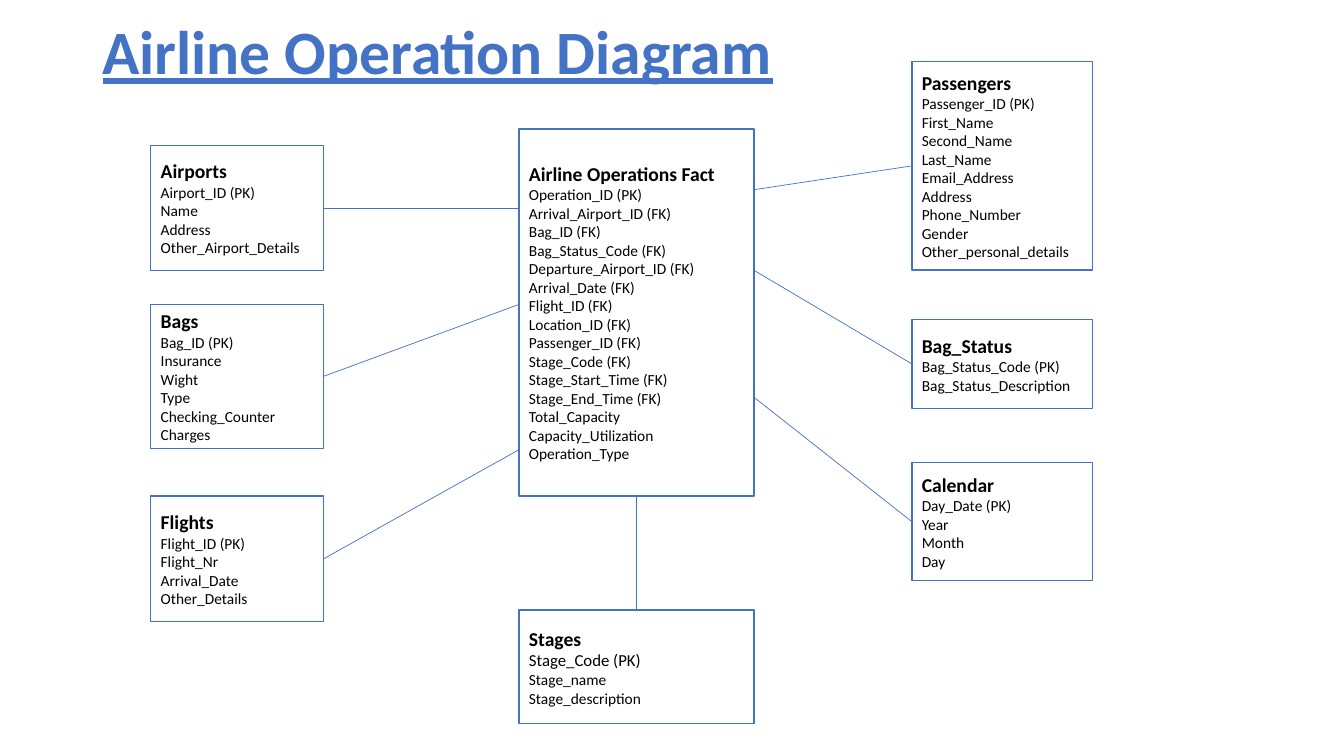
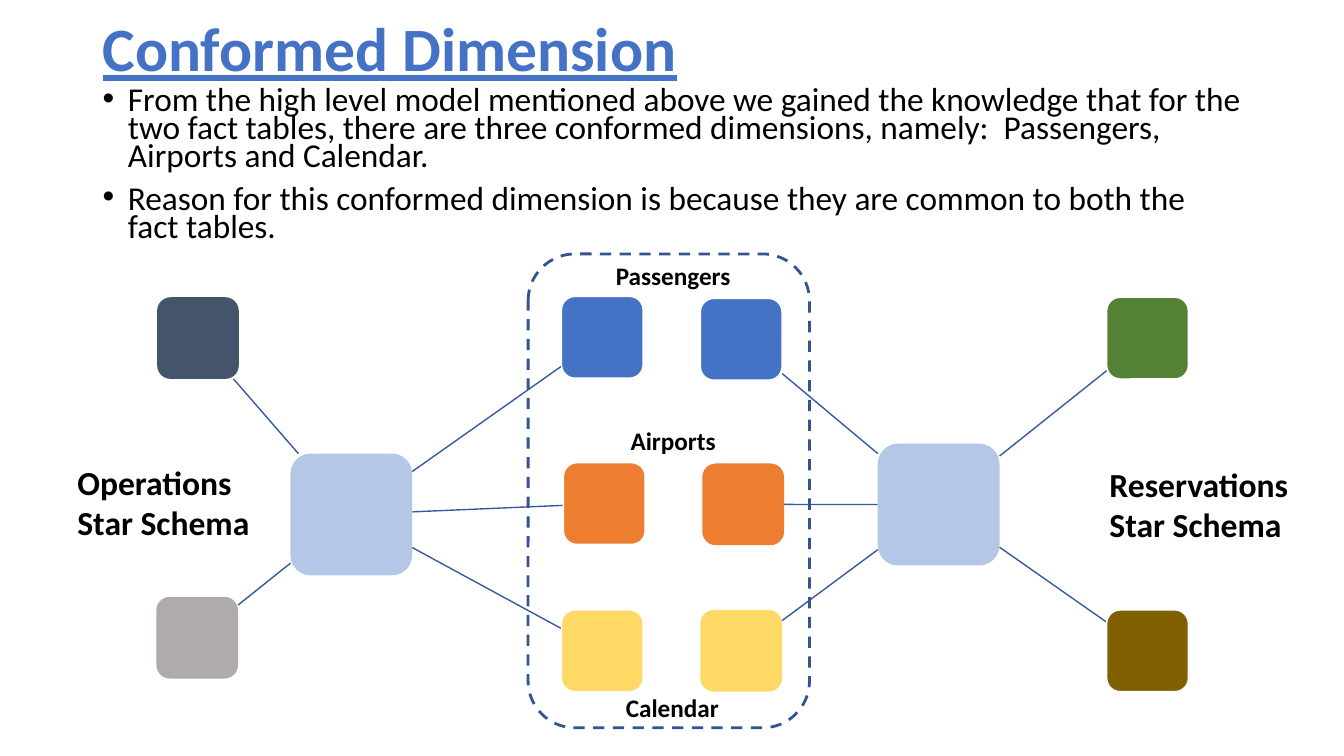
"""Build two slides: an airline star schema and its conformed dimensions."""
import pptx
import pptx.dml.color
import pptx.enum.dml
import pptx.enum.shapes
import pptx.enum.text
import pptx.oxml.ns
import pptx.util
from lxml import etree

Cm, Pt = pptx.util.Cm, pptx.util.Pt
SHAPE = pptx.enum.shapes.MSO_SHAPE
ALIGN = pptx.enum.text.PP_ALIGN
ANCHOR = pptx.enum.text.MSO_ANCHOR
FONT = "Calibri"
COLORS = {
    "blue": "4472C4", "white": "FFFFFF", "black": "000000", "hub": "B4C7E7",
    "link": "365B9D", "frame": "325491", "orange": "ED7D31",
    "yellow": "FFD966", "grey": "AFABAB", "navy": "44546A",
    "green": "548235", "olive": "806000",
}

COLUMNS = {"left": (3.8, 4.35), "centre": (13.08, 5.92), "right": (22.98, 4.55)}
FACT = ("Airline Operations Fact", "centre", 3.25, 9.25, [
    "Operation_ID (PK)", "Arrival_Airport_ID (FK)", "Bag_ID (FK)",
    "Bag_Status_Code (FK)", "Departure_Airport_ID (FK)", "Arrival_Date (FK)",
    "Flight_ID (FK)", "Location_ID (FK)", "Passenger_ID (FK)",
    "Stage_Code (FK)", "Stage_Start_Time (FK)", "Stage_End_Time (FK)",
    "Total_Capacity", "Capacity_Utilization", "Operation_Type"])
STAGES = ("Stages", "centre", 15.37, 2.87,
          ["Stage_Code (PK)", "Stage_name", "Stage_description"])
DIMENSIONS = [
    (("Airports", "left", 3.66, 3.16,
      ["Airport_ID (PK)", "Name", "Address", "Other_Airport_Details"]), 5.24),
    (("Bags", "left", 7.67, 3.63,
      ["Bag_ID (PK)", "Insurance", "Wight", "Type", "Checking_Counter",
       "Charges"]), 7.67),
    (("Flights", "left", 12.5, 3.17,
      ["Flight_ID (PK)", "Flight_Nr", "Arrival_Date", "Other_Details"]), 11.33),
    (("Passengers", "right", 1.55, 5.26,
      ["Passenger_ID (PK)", "First_Name", "Second_Name", "Last_Name",
       "Email_Address", "Address", "Phone_Number", "Gender",
       "Other_personal_details"]), 4.78),
    (("Bag_Status", "right", 8.05, 2.24,
      ["Bag_Status_Code (PK)", "Bag_Status_Description"]), 6.81),
    (("Calendar", "right", 11.66, 2.97,
      ["Day_Date (PK)", "Year", "Month", "Day"]), 10.01),
]

BULLETS = [
    "From the high level model mentioned above we gained the knowledge that "
    "for the two fact tables, there are three conformed dimensions, namely:  "
    "Passengers, Airports and Calendar.",
    "Reason for this conformed dimension is because they are common to both "
    "the fact tables.",
]
HUB_SIDE, NODE_SIDE = 3.07, 2.06
STARS = [
    ((7.32, 11.43), [
        (14.15, 7.47, "blue", True), (14.2, 11.66, "orange", True),
        (14.15, 15.37, "yellow", True), (3.94, 15.04, "grey", False),
        (3.96, 7.49, "navy", False)]),
    ((22.12, 11.18), [
        (17.65, 7.52, "blue", True), (27.89, 7.49, "green", True),
        (27.89, 15.37, "olive", True), (17.65, 15.37, "yellow", False),
        (17.7, 11.68, "orange", False)]),
]
LABELS = [
    ("Passengers", 12.85, 6.43, 8.23, 1.02, 18, ALIGN.CENTER),
    ("Airports", 12.85, 10.59, 8.23, 1.02, 18, ALIGN.CENTER),
    ("Calendar", 12.83, 17.32, 8.23, 1.02, 18, ALIGN.CENTER),
    ("Operations Star Schema", 1.7, 11.51, 5.92, 2.31, 24, ALIGN.LEFT),
    ("Reservations Star Schema", 27.71, 11.56, 5.49, 2.31, 24, ALIGN.LEFT),
]
FRAME = (13.31, 6.4, 7.09, 11.94)


def rgb(name):
    return pptx.dml.color.RGBColor.from_string(COLORS[name])


def style(p, size, bold=False, color="black", align=ALIGN.LEFT):
    p.alignment = align
    p.font.name, p.font.size, p.font.bold = FONT, Pt(size), bold
    p.font.color.rgb = rgb(color)


def place(sp, x, y, w, h):
    sp.left, sp.top, sp.width, sp.height = Cm(x), Cm(y), Cm(w), Cm(h)


def add_slide(prs, layout, title, y, h):
    slide = prs.slides.add_slide(prs.slide_layouts[layout])
    sp = slide.shapes.title
    place(sp, 2.33, y, 29.21, h)
    tf = sp.text_frame
    tf.text = title
    tf.auto_size = pptx.enum.text.MSO_AUTO_SIZE.NONE
    tf.vertical_anchor = ANCHOR.MIDDLE
    p = tf.paragraphs[0]
    style(p, 44, True, "blue")
    p.font.underline = True
    p.line_spacing = 0.9
    return slide


def add_shape(slide, kind, x, y, w, h, fill=None, line=None, width=1):
    sp = slide.shapes.add_shape(kind, Cm(x), Cm(y), Cm(w), Cm(h))
    sp.shadow.inherit = False
    if fill:
        sp.fill.solid()
        sp.fill.fore_color.rgb = rgb(fill)
    else:
        sp.fill.background()
    if line:
        sp.line.color.rgb = rgb(line)
        sp.line.width = Pt(width)
    else:
        sp.line.fill.background()
    return sp


def add_line(slide, start, end, color, width):
    ends = [Cm(v) for v in (*start, *end)]
    cn = slide.shapes.add_connector(
        pptx.enum.shapes.MSO_CONNECTOR.STRAIGHT, *ends)
    cn.line.color.rgb = rgb(color)
    cn.line.width = Pt(width)
    etree.SubElement(cn._element.spPr, pptx.oxml.ns.qn("a:effectLst"))
    return cn


def add_entity(slide, entity, key_size=11):
    name, column, y, h, fields = entity
    x, w = COLUMNS[column]
    sp = add_shape(slide, SHAPE.RECTANGLE, x, y, w, h, "white", "blue")
    tf = sp.text_frame
    tf.vertical_anchor = ANCHOR.MIDDLE
    tf.text = "\n".join([name, *fields])
    sizes = [14, key_size] + [11] * (len(fields) - 1)
    for i, (p, size) in enumerate(zip(tf.paragraphs, sizes)):
        style(p, size, bold=i == 0)
    return sp


def edge_point(centre, side, target):
    """Return where the ray from a square's centre to target leaves it."""
    dx, dy = target[0] - centre[0], target[1] - centre[1]
    scale = side / 2 / max(abs(dx), abs(dy))
    return centre[0] + dx * scale, centre[1] + dy * scale


def add_star(slide, hub, nodes):
    add_shape(slide, SHAPE.ROUNDED_RECTANGLE, *hub, HUB_SIDE, HUB_SIDE, "hub")
    hub_mid = tuple(v + HUB_SIDE / 2 for v in hub)
    for x, y, color, outlined in nodes:
        mid = (x + NODE_SIDE / 2, y + NODE_SIDE / 2)
        add_line(slide, edge_point(hub_mid, HUB_SIDE, mid),
                 edge_point(mid, NODE_SIDE, hub_mid), "link", 1)
        add_shape(slide, SHAPE.ROUNDED_RECTANGLE, x, y, NODE_SIDE, NODE_SIDE,
                  color, "white" if outlined else None)


def add_label(slide, text, x, y, w, h, size, align):
    tf = slide.shapes.add_textbox(Cm(x), Cm(y), Cm(w), Cm(h)).text_frame
    tf.word_wrap = True
    tf.text = text
    style(tf.paragraphs[0], size, True, align=align)


def build_diagram(prs):
    slide = add_slide(prs, 5, "Airline Operation Diagram", 0, 2.77)
    fact = add_entity(slide, FACT)
    fact_x, fact_w = COLUMNS["centre"]
    for entity, fact_y in DIMENSIONS:
        sp = add_entity(slide, entity)
        on_left = entity[1] == "left"
        end = (fact_x if on_left else fact_x + fact_w, fact_y)
        cn = add_line(slide, end, end, "blue", 0.5)
        cn.begin_connect(sp, 3 if on_left else 1)
    stages = add_entity(slide, STAGES, key_size=12)
    cn = add_line(slide, (0, 0), (0, 0), "blue", 0.5)
    cn.begin_connect(fact, 2)
    cn.end_connect(stages, 0)


def build_conformed(prs):
    slide = add_slide(prs, 1, "Conformed Dimension", 0.02, 2.56)
    body = slide.placeholders[1]
    place(body, 2.33, 2.13, 29.21, 4.27)
    tf = body.text_frame
    tf.text = "\n".join(BULLETS)
    tf.auto_size = pptx.enum.text.MSO_AUTO_SIZE.NONE
    for p in tf.paragraphs:
        style(p, 23.8)
        p.line_spacing = 0.7
        p.space_before = Pt(10)
        pPr = p._p.get_or_add_pPr()
        pPr.set("marL", str(Cm(0.64)))
        pPr.set("indent", str(-Cm(0.64)))
    for hub, nodes in STARS:
        add_star(slide, hub, nodes)
    for label in LABELS:
        add_label(slide, *label)
    frame = add_shape(slide, SHAPE.ROUNDED_RECTANGLE, *FRAME,
                      line="frame", width=2)
    frame.line.dash_style = pptx.enum.dml.MSO_LINE.DASH


def main():
    prs = pptx.Presentation()
    prs.slide_width, prs.slide_height = Cm(33.87), Cm(19.05)
    build_diagram(prs)
    build_conformed(prs)
    prs.save("out.pptx")


if __name__ == "__main__":
    main()
